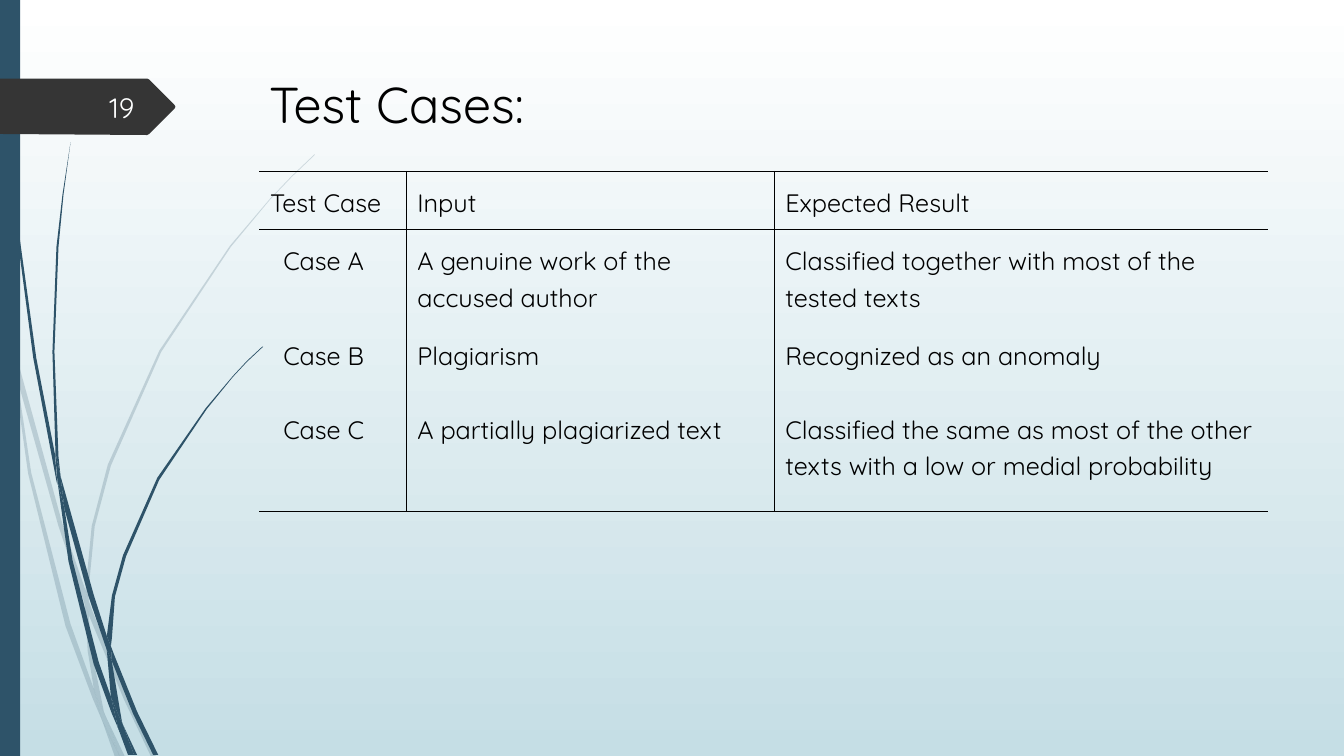
import pptx
import pptx.dml.color
import pptx.enum.shapes
import pptx.enum.text
import pptx.oxml
import pptx.oxml.ns
import pptx.util
from pptx.util import Inches

WHITE = pptx.dml.color.RGBColor(0xFF, 0xFF, 0xFF)
NUMBER_WHITE = pptx.dml.color.RGBColor(0xFE, 0xFF, 0xFF)
BLACK = pptx.dml.color.RGBColor(0x00, 0x00, 0x00)
PALE_BLUE = pptx.dml.color.RGBColor(0xC5, 0xDE, 0xE5)
DEEP_BLUE = pptx.dml.color.RGBColor(0x2E, 0x53, 0x69)
CHARCOAL = pptx.dml.color.RGBColor(0x35, 0x35, 0x35)
FONT_NAME = "Quicksand"
NO_STYLE = "{2D5ABB26-0587-4C30-8999-92F81FD0307C}"

PALE_BLADES = [
    "0.11,3.5 0.09,3.22 0,2.82 0,2.99 0.1,3.44",
    "0.58,5.22 0.84,5.99 0.85,5.86 0.62,5.2 0.14,3.45 0.17,3.76",
    "0.92,6.07 0.88,5.96 0.88,6.1 1.23,6.94 1.5,7.51 1.55,7.51 1.27,6.92",
    "1.19,7.51 1.24,7.51 1.05,7.11",
    "0.93,6.83 0.7,6.19 0.31,4.69 0.17,3.76 0.11,3.5 0.28,4.7 0.65,6.21 0.92,6.93 1.01,7.14 0.99,7.07",
    "0.84,5.99 0.87,6.46 0.93,6.83 0.96,6.92 1.05,7.11 1.03,7.06 0.91,6.46 0.88,6.1 0.88,6.08",
    "0.88,5.84 0.94,5.22 1.1,4.62 1.6,3.49 2.29,2.45 2.68,1.98 2.9,1.75 3.12,1.54 "
    "3.12,1.53 2.89,1.75 2.68,1.97 2.28,2.44 1.58,3.48 1.07,4.61 0.91,5.22 0.85,5.84 0.85,5.86 0.88,5.96",
    "1.01,7.14 1.14,7.51 1.19,7.51",
    "0.88,6.08 0.88,6.1 0.88,5.96 0.85,5.86 0.84,5.99",
    "0.96,6.92 0.93,6.83 0.99,7.07 1.01,7.14 1.19,7.51 1.05,7.11",
]
DARK_BLADES = [
    "0.07,1.1 0.17,2.33 0.33,3.55 0.56,4.77 0.57,4.81 0.55,4.57 0.55,4.53 0.36,3.55 "
    "0.19,2.32 0.08,1.09 0.05,0.48 0.04,0 0.03,0 0.04,0.48",
    "0.88,5.92 1.06,6.45 1.06,6.31 0.93,5.9 0.6,4.72 0.64,5.05",
    "1.13,6.49 1.1,6.41 1.11,6.56 1.32,7.08 1.52,7.49 1.57,7.49 1.36,7.06",
    "1.1,6.91 0.98,6.57 0.72,5.56 0.64,5.05 0.57,4.77 0.68,5.57 0.93,6.59 1.11,7.08 1.17,7.22 1.16,7.17",
    "0.6,4.72 0.58,4.53 0.54,3.49 0.58,2.45 0.63,1.93 0.7,1.41 0.62,1.93 0.56,2.45 0.52,3.49 0.55,4.49",
    "1.33,7.49 1.36,7.49 1.22,7.19",
    "0.57,4.77 0.64,5.05 0.6,4.72 0.55,4.49 0.55,4.53",
    "1.11,6.33 1.14,5.92 1.25,5.52 1.58,4.76 2.05,4.06 2.31,3.74 2.45,3.59 2.61,3.44 "
    "2.6,3.44 2.45,3.58 2.31,3.73 2.04,4.05 1.56,4.74 1.22,5.51 1.11,5.91 1.06,6.31 1.1,6.41",
    "1.17,7.22 1.27,7.49 1.31,7.49",
    "1.06,6.45 1.1,6.91 1.16,7.06 1.22,7.19 1.21,7.16 1.11,6.56 1.09,6.51",
    "1.06,6.45 1.09,6.51 1.11,6.56 1.1,6.41 1.06,6.31",
    "1.16,7.06 1.1,6.91 1.16,7.17 1.17,7.22 1.3,7.49 1.33,7.49 1.22,7.19",
]
NUMBER_TAG = "0,0.78 1.46,0.78 1.48,0.79 1.73,1.04 1.74,1.06 1.73,1.08 1.48,1.33 1.46,1.34 0,1.33"
TEST_CASES = [
    ("Test Case", "Input", "Expected Result"),
    ("Case A", "A genuine work of the accused author", "Classified together with most of the tested texts"),
    ("Case B", "Plagiarism", "Recognized as an anomaly"),
    ("Case C", "A partially plagiarized text",
     "Classified the same as most of the other texts with a low or medial probability"),
]
COLUMN_WIDTHS = [1.46, 3.65, 4.9]
ROW_HEIGHTS = [0.38, 0.61, 0.73, 1.12]


def apply_format(target, values):
    for name, value in values.items():
        setattr(target, name, value)


def fill_shape(shape, color, opacity=100):
    shape.shadow.inherit = False
    shape.fill.solid()
    shape.fill.fore_color.rgb = color
    shape.line.fill.background()
    if opacity < 100:
        color_element = shape._element.spPr.find(".//" + pptx.oxml.ns.qn("a:srgbClr"))
        alpha = pptx.oxml.parse_xml(f'<a:alpha {pptx.oxml.ns.nsdecls("a")} val="{opacity * 1000}"/>')
        color_element.append(alpha)


def add_outline(shapes, outline, color, opacity=100):
    points = [tuple(Inches(float(value)) for value in pair.split(",")) for pair in outline.split()]
    builder = shapes.build_freeform(*points[0])
    builder.add_line_segments(points[1:], close=True)
    fill_shape(builder.convert_to_shape(), color, opacity)


def add_blades(slide, blades, opacity):
    group = slide.shapes.add_group_shape()
    for blade in blades:
        add_outline(group.shapes, blade, DEEP_BLUE, opacity)


def write_text(text_frame, text, size, color, **paragraph_format):
    paragraph = text_frame.paragraphs[0]
    apply_format(paragraph, paragraph_format)
    run = paragraph.add_run()
    run.text = text
    apply_format(run.font, {"name": FONT_NAME, "size": pptx.util.Pt(size), "bold": False})
    run.font.color.rgb = color
    return paragraph


def set_borders(cell, drawn_sides):
    for side in "LRTB":
        fill = f'<a:solidFill><a:srgbClr val="{BLACK}"/></a:solidFill>' if side in drawn_sides else "<a:noFill/>"
        cell._tc.get_or_add_tcPr().append(pptx.oxml.parse_xml(
            f'<a:ln{side} {pptx.oxml.ns.nsdecls("a")} w="12700">{fill}</a:ln{side}>'))


def add_case_table(slide):
    frame = slide.shapes.add_table(len(ROW_HEIGHTS), len(COLUMN_WIDTHS), Inches(2.57), Inches(1.7),
                                   Inches(sum(COLUMN_WIDTHS)), Inches(sum(ROW_HEIGHTS)))
    table = frame.table
    apply_format(table, {"first_row": False, "horz_banding": False})
    table._tbl.tblPr.find(pptx.oxml.ns.qn("a:tableStyleId")).text = NO_STYLE
    for column, width in zip(table.columns, COLUMN_WIDTHS):
        column.width = Inches(width)
    last_row, last_column = len(ROW_HEIGHTS) - 1, len(COLUMN_WIDTHS) - 1
    margins = {f"margin_{side}": Inches(0.11) for side in ("left", "right", "top", "bottom")}
    for r, height in enumerate(ROW_HEIGHTS):
        table.rows[r].height = Inches(height)
        for c, text in enumerate(TEST_CASES[r]):
            cell = table.cell(r, c)
            apply_format(cell, margins)
            rules = {"L": c > 0, "R": c < last_column, "T": r <= 1, "B": r in (0, last_row)}
            set_borders(cell, [side for side, drawn in rules.items() if drawn])
            cell.fill.background()
            paragraph = write_text(cell.text_frame, text, 18, BLACK, line_spacing=1.15)
            if r > 0 and c == 0:
                paragraph._p.get_or_add_pPr().set("marL", str(Inches(0.13)))


def add_title(slide, text):
    title = slide.shapes.title
    apply_format(title, {"left": Inches(2.57), "top": Inches(0.68), "width": Inches(10.01), "height": Inches(1.02)})
    apply_format(title.text_frame, {"vertical_anchor": pptx.enum.text.MSO_ANCHOR.TOP, "word_wrap": True,
                                    "auto_size": pptx.enum.text.MSO_AUTO_SIZE.NONE})
    write_text(title.text_frame, text, 36, BLACK, alignment=pptx.enum.text.PP_ALIGN.LEFT)


def add_slide_number(slide, text):
    box = slide.shapes.add_textbox(Inches(0.58), Inches(0.86), Inches(0.85), Inches(0.4))
    apply_format(box.text_frame, {"vertical_anchor": pptx.enum.text.MSO_ANCHOR.MIDDLE, "word_wrap": True})
    write_text(box.text_frame, text, 20, NUMBER_WHITE, alignment=pptx.enum.text.PP_ALIGN.RIGHT)


def set_background(slide):
    fill = slide.background.fill
    fill.gradient()
    fill.gradient_angle = 270
    for stop, color in zip(fill.gradient_stops, (WHITE, PALE_BLUE)):
        stop.color.rgb = color


def main():
    presentation = pptx.Presentation()
    apply_format(presentation, {"slide_width": Inches(13.33), "slide_height": Inches(7.5)})
    slide = presentation.slides.add_slide(presentation.slide_layouts[5])
    set_background(slide)
    add_blades(slide, PALE_BLADES, 20)
    add_blades(slide, DARK_BLADES, 100)
    side_bar = slide.shapes.add_shape(pptx.enum.shapes.MSO_SHAPE.RECTANGLE, 0, 0, Inches(0.2), Inches(7.5))
    fill_shape(side_bar, DEEP_BLUE)
    add_outline(slide.shapes, NUMBER_TAG, CHARCOAL)
    add_title(slide, "Test Cases:")
    add_case_table(slide)
    add_slide_number(slide, "19")
    presentation.save("out.pptx")


if __name__ == "__main__":
    main()
